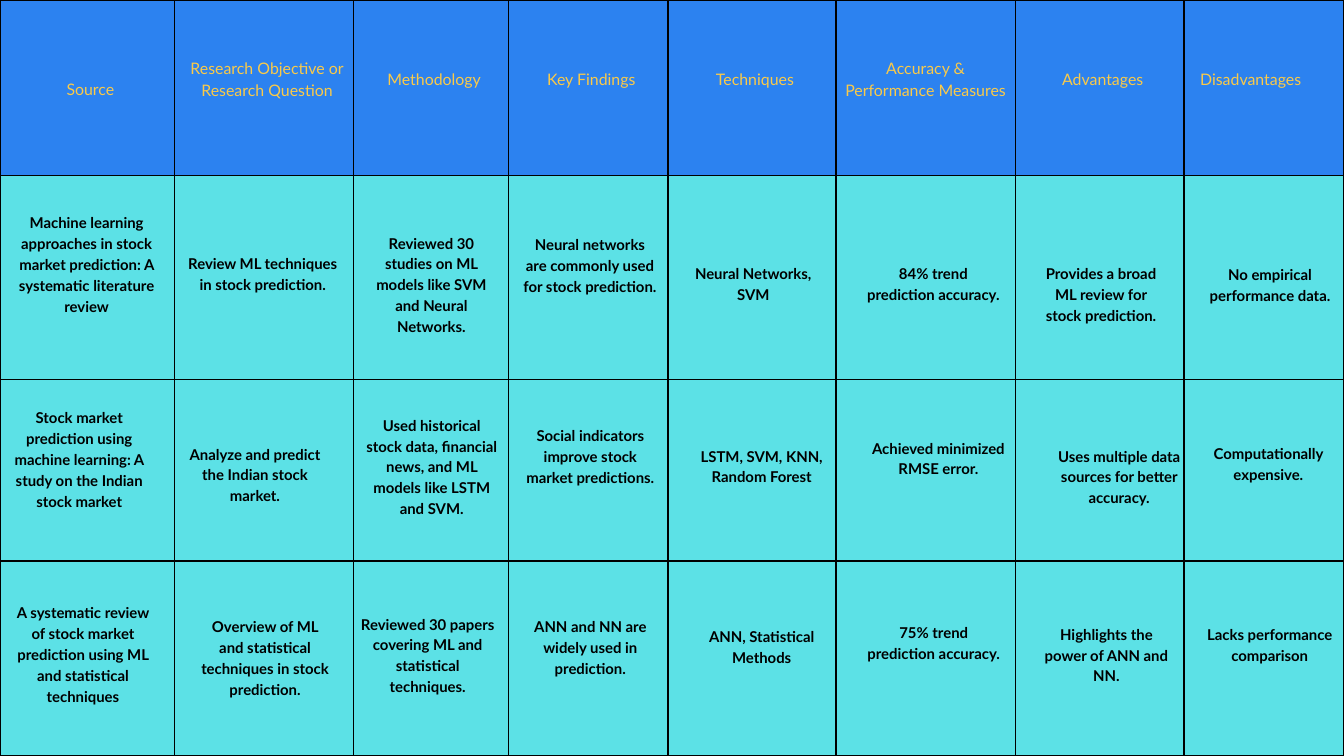
from itertools import accumulate

from lxml.etree import SubElement
from pptx import Presentation
from pptx.dml.color import RGBColor
from pptx.enum.text import MSO_ANCHOR, MSO_AUTO_SIZE, PP_ALIGN
from pptx.oxml.ns import qn
from pptx.util import Inches, Pt

HEADER_BLUE = RGBColor(0x2C, 0x82, 0xF0)
BODY_CYAN = RGBColor(0x5C, 0xE1, 0xE6)
HEADER_GOLD = RGBColor(0xFA, 0xCA, 0x49)
BLACK = RGBColor(0, 0, 0)

COLUMNS = [2.6, 2.66, 2.31, 2.37, 2.5, 2.67, 2.51, 2.38]
ROWS = [2.61, 3.04, 2.7, 2.9]
COLUMN_EDGES = [0, *accumulate(COLUMNS)]
ROW_EDGES = [0, *accumulate(ROWS)]
LINE_HEIGHT = 0.3

HEADERS = [
    ("Source", 0.2, 0.11, PP_ALIGN.CENTER),
    ("Research Objective or\nResearch Question", 0.2, 0.41, PP_ALIGN.CENTER),
    ("Methodology", 0.2, 0.41, PP_ALIGN.CENTER),
    ("Key Findings", 0.2, 0.41, PP_ALIGN.CENTER),
    ("Techniques", 0.2, 0.41, PP_ALIGN.CENTER),
    ("Accuracy &\nPerformance Measures", 0.11, 0.41, PP_ALIGN.CENTER),
    ("Advantages", 0.2, 0.41, PP_ALIGN.CENTER),
    ("Disadvantages", 0.24, 0.41, PP_ALIGN.LEFT),
]

# Each entry: text, offset from column edge, offset from row edge, width, lines
STUDIES = [
    [
        ("Machine learning approaches in stock market prediction: A systematic literature review", 0.24, 0.53, 2.1, 6),
        ("Review ML techniques in stock prediction.", 0.15, 1.13, 2.32, 3),
        ("Reviewed 30 studies on ML models like SVM and Neural Networks.", 0.22, 0.83, 1.88, 5),
        ("Neural networks are commonly used for stock prediction.", 0.21, 0.85, 2, 4),
        ("Neural Networks, SVM", 0.27, 1.28, 2, 2),
        ("84% trend prediction accuracy.", 0.45, 1.28, 2, 3),
        ("Provides a broad ML review for stock prediction.", 0.36, 1.28, 1.83, 3),
        ("No empirical performance data.", 0.28, 1.3, 2, 3),
    ],
    [
        ("Stock market prediction using machine learning: A study on the Indian stock market", 0.13, 0.39, 2.1, 6),
        ("Analyze and predict the Indian stock market.", 0.2, 0.93, 1.99, 4),
        ("Used historical stock data, financial news, and ML models like LSTM and SVM.", 0.17, 0.5, 1.99, 6),
        ("Social indicators improve stock market predictions.", 0.22, 0.65, 1.99, 4),
        ("LSTM, SVM, KNN, Random Forest", 0.4, 0.96, 1.99, 2),
        ("Achieved minimized RMSE error.", 0.53, 0.84, 1.99, 3),
        ("Uses multiple data sources for better accuracy.", 0.55, 0.96, 1.99, 3),
        ("Computationally expensive.", 0.26, 0.92, 1.99, 2),
    ],
    [
        ("A systematic review of stock market prediction using ML and statistical techniques", 0.24, 0.59, 1.99, 6),
        ("Overview of ML and statistical techniques in stock prediction.", 0.35, 0.8, 1.99, 4),
        ("Reviewed 30 papers covering ML and statistical techniques.", 0.11, 0.76, 1.99, 4),
        ("ANN and NN are widely used in prediction.", 0.22, 0.8, 1.99, 3),
        ("ANN, Statistical Methods", 0.4, 0.95, 1.99, 2),
        ("75% trend prediction accuracy.", 0.46, 0.88, 1.99, 3),
        ("Highlights the power of ANN and NN.", 0.36, 0.91, 1.99, 3),
        ("Lacks performance comparison", 0.28, 0.91, 1.99, 3),
    ],
]

HEADER_FORMAT = {"name": "Lato", "size": Pt(17), "bold": False}
BODY_FORMAT = {"name": "Lato", "size": Pt(16), "bold": True}


def write_text(text_frame, text, font_format, color, alignment, spacing):
    text_frame.text = text
    for paragraph in text_frame.paragraphs:
        paragraph.alignment = alignment
        paragraph.line_spacing = Pt(spacing)
        font = paragraph.runs[0].font
        for name, value in font_format.items():
            setattr(font, name, value)
        font.color.rgb = color


def add_borders(cell):
    properties = cell._tc.get_or_add_tcPr()
    for side in ("a:lnL", "a:lnR", "a:lnT", "a:lnB"):
        line = SubElement(properties, qn(side), w=str(Pt(1.5)))
        fill = SubElement(line, qn("a:solidFill"))
        SubElement(fill, qn("a:srgbClr"), val=str(BLACK))


presentation = Presentation()
presentation.slide_width = Inches(20)
presentation.slide_height = Inches(11.25)
slide = presentation.slides.add_slide(presentation.slide_layouts[6])

table = slide.shapes.add_table(
    len(ROWS), len(COLUMNS), 0, 0, presentation.slide_width, presentation.slide_height
).table
table.first_row = False
table.horz_banding = False
for column, width in zip(table.columns, COLUMNS):
    column.width = Inches(width)
for row, height in zip(table.rows, ROWS):
    row.height = Inches(height)

for row_index, row in enumerate(table.rows):
    for cell in row.cells:
        add_borders(cell)
        cell.fill.solid()
        cell.fill.fore_color.rgb = BODY_CYAN if row_index else HEADER_BLUE

for cell, (text, left_margin, bottom_margin, alignment) in zip(table.rows[0].cells, HEADERS):
    cell_format = {
        "vertical_anchor": MSO_ANCHOR.MIDDLE,
        "margin_left": Inches(left_margin),
        "margin_right": Inches(0.11),
        "margin_top": Inches(0.11),
        "margin_bottom": Inches(bottom_margin),
    }
    for name, value in cell_format.items():
        setattr(cell, name, value)
    write_text(cell.text_frame, text, HEADER_FORMAT, HEADER_GOLD, alignment, 23.8)

FRAME_FORMAT = {
    "word_wrap": True,
    "auto_size": MSO_AUTO_SIZE.SHAPE_TO_FIT_TEXT,
    "margin_left": 0,
    "margin_right": 0,
    "margin_top": 0,
    "margin_bottom": 0,
}
for row_edge, study in zip(ROW_EDGES[1:], STUDIES):
    for column_edge, (text, across, down, width, lines) in zip(COLUMN_EDGES, study):
        text_frame = slide.shapes.add_textbox(
            Inches(column_edge + across), Inches(row_edge + down),
            Inches(width), Inches(lines * LINE_HEIGHT),
        ).text_frame
        for name, value in FRAME_FORMAT.items():
            setattr(text_frame, name, value)
        write_text(text_frame, text, BODY_FORMAT, BLACK, PP_ALIGN.CENTER, 22.4)

presentation.save("out.pptx")
